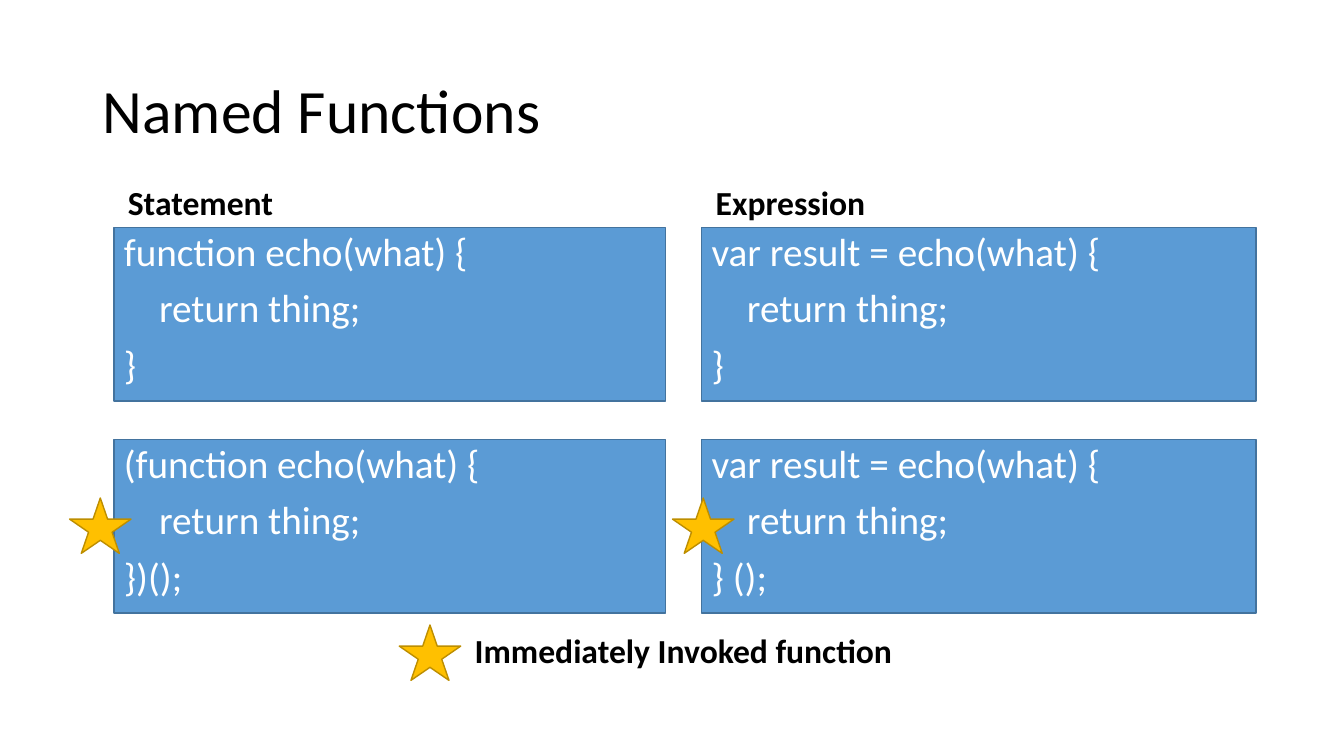
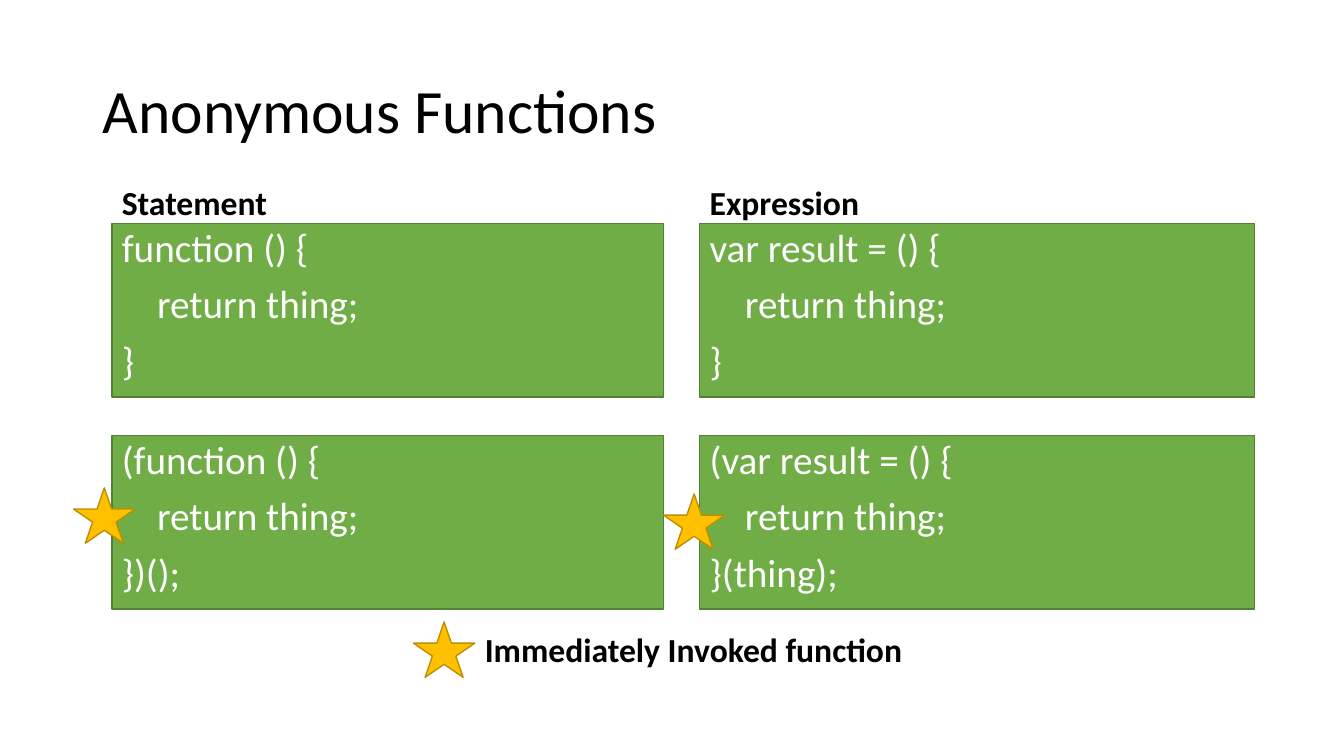
from pptx import Presentation
from pptx.dml.color import RGBColor
from pptx.enum.shapes import MSO_SHAPE
from pptx.enum.text import MSO_ANCHOR, PP_ALIGN
from pptx.util import Pt

PX = 9144  # 100 px to the inch
RECT, STAR = MSO_SHAPE.RECTANGLE, MSO_SHAPE.STAR_5_POINT
TOP, MIDDLE, BOTTOM = MSO_ANCHOR.TOP, MSO_ANCHOR.MIDDLE, MSO_ANCHOR.BOTTOM
LEFT = PP_ALIGN.LEFT

BLACK = RGBColor(0x00, 0x00, 0x00)
WHITE = RGBColor(0xFF, 0xFF, 0xFF)
BLUE = RGBColor(0x5B, 0x9B, 0xD5)
BLUE_EDGE = RGBColor(0x43, 0x73, 0x9E)
GREEN = RGBColor(0x70, 0xAD, 0x47)
GREEN_EDGE = RGBColor(0x53, 0x80, 0x35)
GOLD = RGBColor(0xFF, 0xC0, 0x00)
GOLD_EDGE = RGBColor(0xBD, 0x8E, 0x00)

FONT = "Calibri"
TITLE = {"size": Pt(44), "bold": False}
LABEL = {"size": Pt(24), "bold": True}
CODE = {"size": Pt(28), "bold": False}
TIGHT = {"alignment": LEFT, "line_spacing": 0.9}
SPACED = {**TIGHT, "space_before": Pt(10)}
PLAIN = {"alignment": LEFT}

TITLE_BOX = (92, 40, 1150, 145)
HEADING_TOP, HEADING_H = 136, 90
COLUMNS = (("Statement", 0, 547, 564), ("Expression", 583, 550, 567))
ROW_PITCH, PANEL_H = 210, 172
STAR_W, STAR_H = 61, 55
INDENT = 35

SLIDES = [
    {
        "title": "Named Functions",
        "colors": (BLUE, BLUE_EDGE),
        "grid": (113, 226),
        "heading_dx": 4,
        "code": [
            [("function echo(what) {", "}"), ("var result = echo(what) {", "}")],
            [("(function echo(what) {", "})();"),
             ("var result = echo(what) {", "} ();")],
        ],
        "star_offsets": [(-44, 58), (-29, 58)],
        "legend": (396, 620),
        "legend_text": (65, 0, 665, 50),
    },
    {
        "title": "Anonymous Functions",
        "colors": (GREEN, GREEN_EDGE),
        "grid": (111, 222),
        "heading_dx": 0,
        "code": [
            [("function () {", "}"), ("var result = () {", "}")],
            [("(function () {", "})();"), ("(var result = () {", "}(thing);")],
        ],
        "star_offsets": [(-38, 52), (-36, 58)],
        "legend": (410, 617),
        "legend_text": (61, 2, 690, 50),
    },
]


def emu(*lengths):
    return [n * PX for n in lengths]


def set_all(target, values):
    for name, value in values.items():
        setattr(target, name, value)


def write(sp, lines, font, para, color=BLACK, anchor=TOP):
    """Fill a shape with (text, indent) lines."""
    tf = sp.text_frame
    set_all(tf, {"word_wrap": True, "vertical_anchor": anchor})
    for i, (text, indent) in enumerate(lines):
        p = tf.add_paragraph() if i else tf.paragraphs[0]
        set_all(p, para)
        if indent:
            p._p.get_or_add_pPr().set("marL", str(indent * PX))
        r = p.add_run()
        r.text = text
        set_all(r.font, {"name": FONT, **font})
        r.font.color.rgb = color


def add_text(s, box, text, font, para, anchor=TOP):
    sp = s.shapes.add_textbox(*emu(*box))
    write(sp, [(text, 0)], font, para, anchor=anchor)


def add_solid(s, kind, box, fill, edge):
    sp = s.shapes.add_shape(kind, *emu(*box))
    sp.shadow.inherit = False
    sp.fill.solid()
    sp.fill.fore_color.rgb = fill
    sp.line.color.rgb = edge
    sp.line.width = Pt(1)
    return sp


def add_star(s, x, y):
    add_solid(s, STAR, (x, y, STAR_W, STAR_H), GOLD, GOLD_EDGE)


def add_code_panel(s, box, code, colors):
    first, last = code
    sp = add_solid(s, RECT, box, *colors)
    lines = [(first, 0), ("return thing;", INDENT), (last, 0)]
    write(sp, lines, CODE, SPACED, WHITE)


def add_code_grid(s, x, y, d):
    # Headings and two rows of panels
    for col, (heading, dx, panel_w, heading_w) in enumerate(COLUMNS):
        left = x + dx
        add_text(s, (left + d["heading_dx"], HEADING_TOP, heading_w, HEADING_H),
                 heading, LABEL, SPACED, BOTTOM)
        for row, codes in enumerate(d["code"]):
            box = (left, y + row * ROW_PITCH, panel_w, PANEL_H)
            add_code_panel(s, box, codes[col], d["colors"])
    # Stars on the invoked functions, above all panels
    for (_, dx, _, _), (star_dx, star_dy) in zip(COLUMNS, d["star_offsets"]):
        add_star(s, x + dx + star_dx, y + ROW_PITCH + star_dy)


def add_legend(s, x, y, text_box):
    dx, dy, w, h = text_box
    add_star(s, x, y)
    add_text(s, (x + dx, y + dy, w, h), "Immediately Invoked function",
             LABEL, PLAIN)


def build_slide(prs, d):
    s = prs.slides.add_slide(prs.slide_layouts[6])
    add_text(s, TITLE_BOX, d["title"], TITLE, TIGHT, MIDDLE)
    add_code_grid(s, *d["grid"], d)
    add_legend(s, *d["legend"], d["legend_text"])


def main():
    prs = Presentation()
    prs.slide_width, prs.slide_height = emu(1333, 750)
    for d in SLIDES:
        build_slide(prs, d)
    prs.save("out.pptx")


if __name__ == "__main__":
    main()
